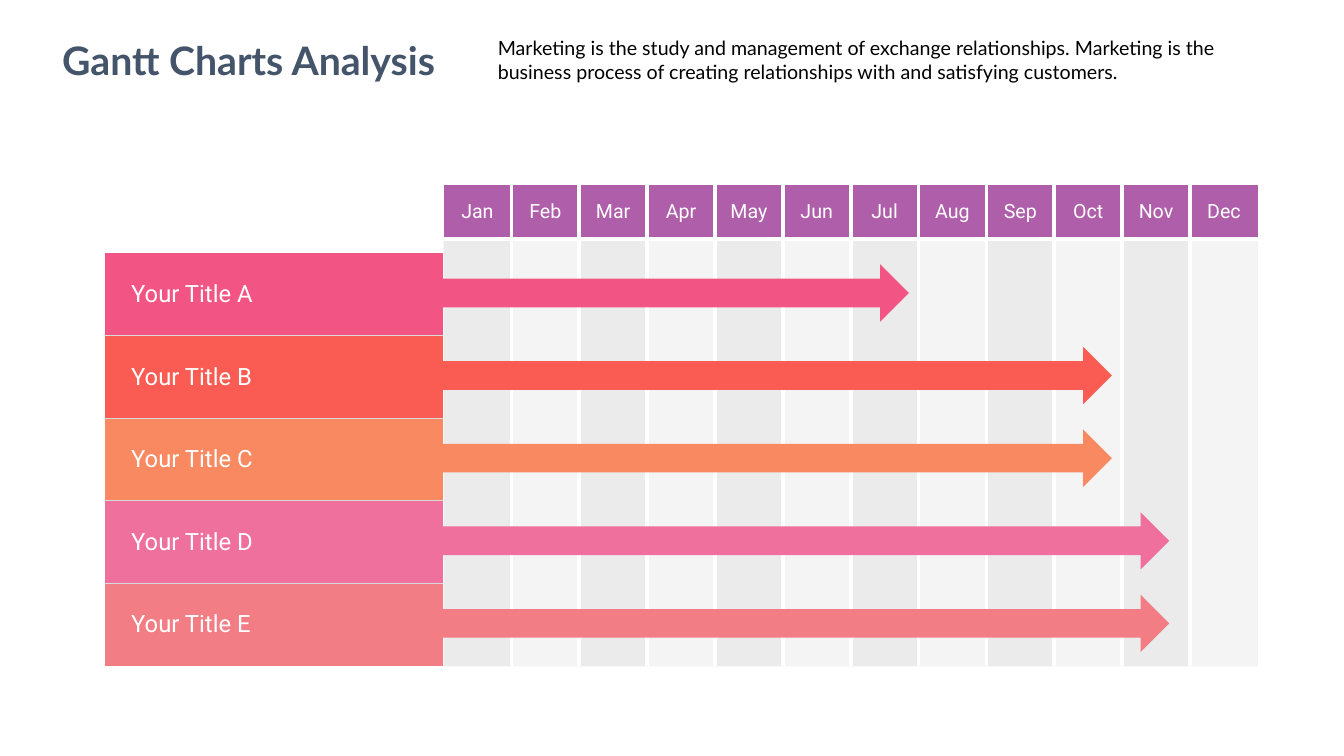
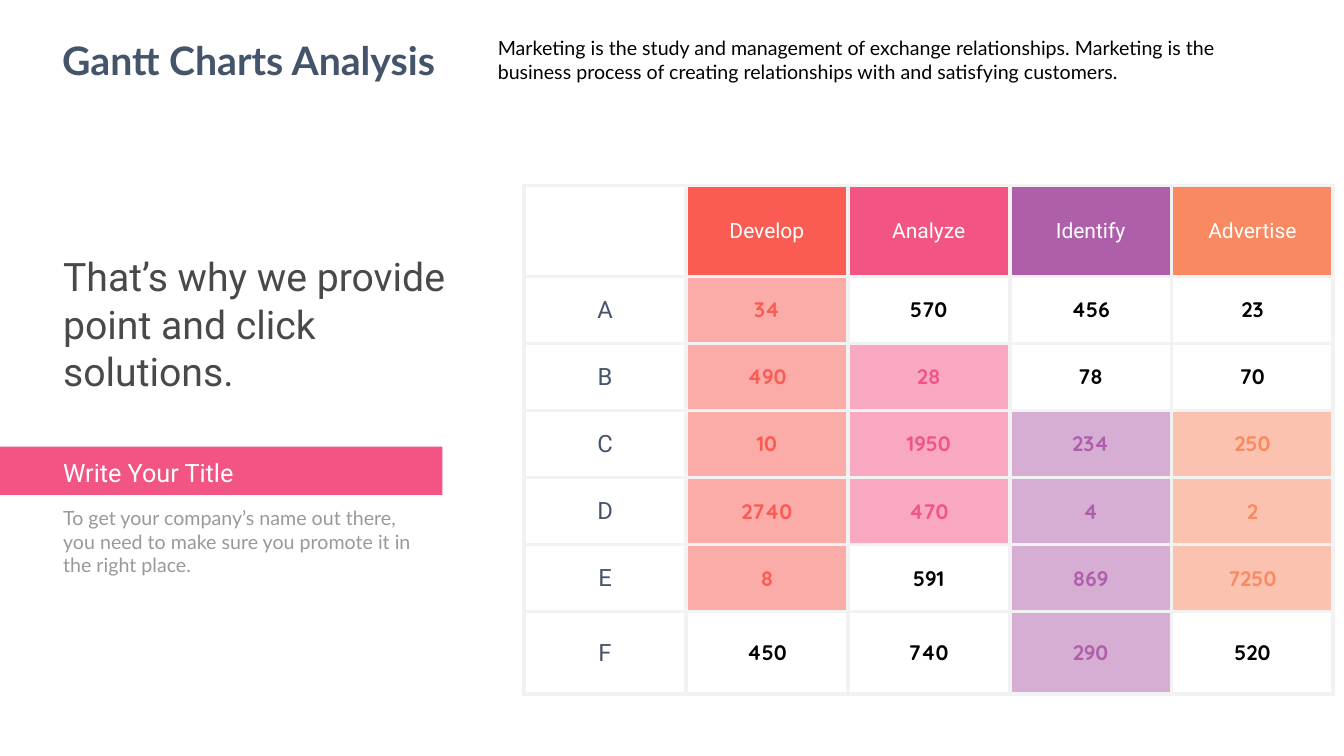
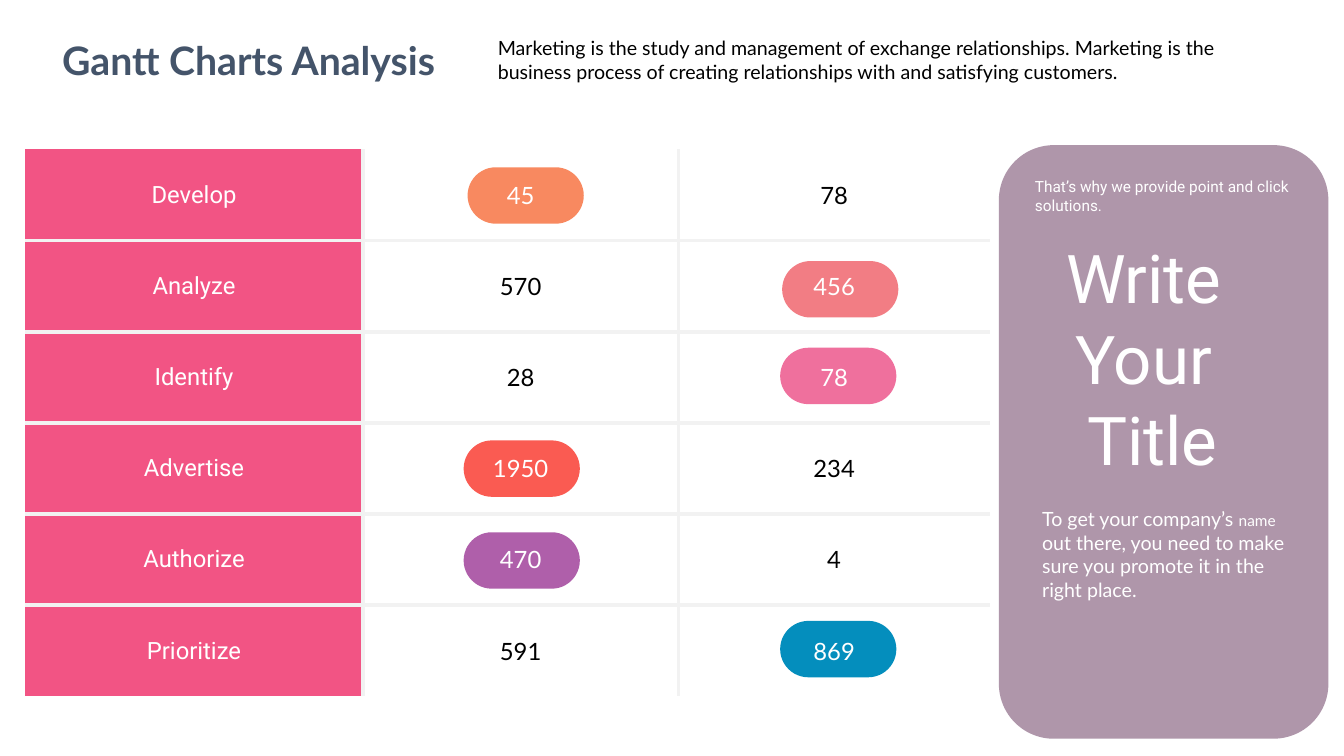
import dataclasses
import pptx
import pptx.dml.color
import pptx.enum.shapes
import pptx.enum.text
import pptx.oxml
import pptx.oxml.ns
import pptx.util

Pt = pptx.util.Pt
CENTER = pptx.enum.text.PP_ALIGN.CENTER
LEFT = pptx.enum.text.PP_ALIGN.LEFT
MIDDLE = pptx.enum.text.MSO_ANCHOR.MIDDLE
SHAPES = pptx.enum.shapes.MSO_SHAPE

WHITE, BLACK, SLATE = "FFFFFF", "000000", "44546A"
PINK, RED, ORANGE, PURPLE = "F25484", "FA5B52", "F88960", "AF5FAA"
ROSE, CORAL, BLUE, MAUVE = "EF709D", "F27D84", "048EBD", "AF96AA"
PALE, SILVER, GRAY, CHARCOAL = "F2F2F2", "D9D9D9", "999999", "494949"
NO_STYLE = "{2D5ABB26-0587-4C30-8999-92F81FD0307C}"

TITLE = "Gantt Charts Analysis"
SUBTITLE = ("Marketing is the study and management of exchange relationships. "
            "Marketing is the business process of creating relationships "
            "with and satisfying customers.")
SLOGAN = "That’s why we provide point and click solutions."
ADVICE = ("To get your company’s ", "name",
          " out there, you need to make sure you promote it in the right place.")

MONTHS = ["Jan", "Feb", "Mar", "Apr", "May", "Jun",
          "Jul", "Aug", "Sep", "Oct", "Nov", "Dec"]
TASKS = [
    ("Your Title A", PINK, 336),
    ("Your Title B", RED, 481),
    ("Your Title C", ORANGE, 481),
    ("Your Title D", ROSE, 522),
    ("Your Title E", CORAL, 522),
]

SCORE_COLUMNS = [
    ("Develop", RED, "ABCDE"),
    ("Analyze", PINK, "BCD"),
    ("Identify", PURPLE, "CDEF"),
    ("Advertise", ORANGE, "CDE"),
]
SCORES = {
    "A": (34, 570, 456, 23),
    "B": (490, 28, 78, 70),
    "C": (10, 1950, 234, 250),
    "D": (2740, 470, 4, 2),
    "E": (8, 591, 869, 7250),
    "F": (450, 740, 290, 520),
}

STAGES = [
    ("Develop", 45, 78),
    ("Analyze", 570, 456),
    ("Identify", 28, 78),
    ("Advertise", 1950, 234),
    ("Authorize", 470, 4),
    ("Prioritize", 591, 869),
]
PILLS = {
    (0, 1): (334, 119.5, ORANGE),
    (1, 2): (558.7, 186.5, CORAL),
    (2, 2): (557.3, 248.4, ROSE),
    (3, 1): (331.2, 314.6, RED),
    (4, 1): (331.2, 380.2, PURPLE),
    (5, 2): (557.3, 443.5, BLUE),
}


@dataclasses.dataclass
class Cell:
    text: str = ""
    fill: str = ""
    alpha: int = 100
    color: str = WHITE
    size: float = 14
    font: str = "Roboto"
    bold: bool = False
    align: object = CENTER


def rgb(value):
    return pptx.dml.color.RGBColor.from_string(value)


def add_run(paragraph, text, size, font, color, bold=False):
    run = paragraph.add_run()
    run.text = text
    run.font.size = Pt(size)
    run.font.name = font
    run.font.bold = bold
    run.font.color.rgb = rgb(color)


def place(shape, left, top, width, height):
    shape.left, shape.top = Pt(left), Pt(top)
    shape.width, shape.height = Pt(width), Pt(height)


def add_text(slide, box, paragraphs, font, color, align=LEFT):
    frame = slide.shapes.add_textbox(*map(Pt, box)).text_frame
    frame.word_wrap = True
    for index, runs in enumerate(paragraphs):
        paragraph = frame.add_paragraph() if index else frame.paragraphs[0]
        paragraph.alignment = align
        for text, size in runs:
            add_run(paragraph, text, size, font, color)


def add_block(slide, kind, box, color):
    shape = slide.shapes.add_shape(kind, *map(Pt, box))
    shape.shadow.inherit = False
    shape.fill.solid()
    shape.fill.fore_color.rgb = rgb(color)
    shape.line.fill.background()
    return shape


def add_header(slide):
    title = slide.shapes.title
    place(title, 28, 22.3, 299, 41)
    frame = title.text_frame
    frame.word_wrap = False
    frame.auto_size = pptx.enum.text.MSO_AUTO_SIZE.NONE
    frame.vertical_anchor = pptx.enum.text.MSO_ANCHOR.TOP
    frame.paragraphs[0].alignment = CENTER
    add_run(frame.paragraphs[0], TITLE, 28, "Lato", SLATE, True)
    add_text(slide, (348.5, 22.3, 563, 41), [[(SUBTITLE, 14)]], "Lato", BLACK)


def set_fill(cell, color, alpha):
    if not color:
        cell.fill.background()
        return
    cell.fill.solid()
    cell.fill.fore_color.rgb = rgb(color)
    if alpha < 100:
        node = cell._tc.tcPr.find(".//" + pptx.oxml.ns.qn("a:srgbClr"))
        node.append(pptx.oxml.parse_xml(
            f'<a:alpha {pptx.oxml.ns.nsdecls("a")} val="{alpha * 1000}"/>'))


def set_borders(cell, sides, color, width):
    for position, side in enumerate(sides):
        cell._tc.tcPr.insert(position, pptx.oxml.parse_xml(
            f'<a:ln{side} {pptx.oxml.ns.nsdecls("a")} w="{Pt(width)}">'
            f'<a:solidFill><a:srgbClr val="{color}"/></a:solidFill></a:ln{side}>'))


def add_grid(slide, left, top, widths, heights, rows, border, inset=3.6,
             outer=False, first_ruled=0):
    shape = slide.shapes.add_table(len(heights), len(widths), Pt(left), Pt(top),
                                   Pt(sum(widths)), Pt(sum(heights)))
    table = shape.table
    table.first_row = table.horz_banding = False
    table._tbl.tblPr.find(pptx.oxml.ns.qn("a:tableStyleId")).text = NO_STYLE
    for column, width in zip(table.columns, widths):
        column.width = Pt(width)
    last_row, last_column = len(heights) - 1, len(widths) - 1
    for r, (height, row) in enumerate(zip(heights, rows)):
        table.rows[r].height = Pt(height)
        for c, content in enumerate(row):
            cell = table.cell(r, c)
            cell.margin_left, cell.margin_right = Pt(inset), Pt(3.6)
            cell.margin_top = cell.margin_bottom = Pt(2.2)
            cell.vertical_anchor = MIDDLE
            if content.text:
                paragraph = cell.text_frame.paragraphs[0]
                paragraph.alignment = content.align
                add_run(paragraph, content.text, content.size, content.font,
                        content.color, content.bold)
            set_fill(cell, content.fill, content.alpha)
            ruled = {"L": outer or c > 0, "R": outer or c < last_column,
                     "T": outer or r > first_ruled,
                     "B": outer or first_ruled <= r < last_row}
            set_borders(cell, [side for side in ruled if ruled[side]], *border)


def build_timeline(slide):
    bands = [(SILVER, 50), (PALE, 80)]
    header = [Cell(month, PURPLE) for month in MONTHS]
    body = [Cell("", *bands[index % 2]) for index in range(len(MONTHS))]
    add_grid(slide, 316.8, 132.5, [48.48] * len(MONTHS), [38.2, 305.3],
             [header, body], (WHITE, 3))

    top, head_height, row_height, arrow_height = 131.8, 49, 59, 41
    for index, (_, color, length) in enumerate(TASKS):
        middle = top + head_height + row_height * (index + 0.5) - 1
        add_block(slide, SHAPES.RIGHT_ARROW,
                  (313.2, middle - arrow_height / 2, length, arrow_height), color)
    labels = [[Cell(name, color, size=17, align=LEFT)] for name, color, _ in TASKS]
    add_grid(slide, 75, top, [241.2], [head_height] + [row_height] * len(TASKS),
             [[Cell(fill=WHITE)]] + labels, (SILVER, 1), inset=18.7, first_ruled=1)


def build_scores(slide):
    add_block(slide, SHAPES.RECTANGLE, (0, 319, 316, 34.5), PINK)
    rows = [[Cell(fill=WHITE)]
            + [Cell(name, color, size=15) for name, color, _ in SCORE_COLUMNS]]
    for letter, values in SCORES.items():
        row = [Cell(letter, size=17, color=SLATE)]
        for value, (_, color, marked) in zip(values, SCORE_COLUMNS):
            hit = letter in marked
            row.append(Cell(str(value), color if hit else "", 50,
                            color if hit else BLACK, 15, "Quicksand", True))
        rows.append(row)
    add_grid(slide, 374.4, 132.5, [115.6] * 5, [65] + [47.9] * 5 + [59],
             rows, (PALE, 3), outer=True)

    add_text(slide, (38, 358, 278, 58), [[("".join(ADVICE), 14)]], "Lato", GRAY)
    add_text(slide, (38, 323.3, 278, 29), [[("Write Your Title", 18)]], "Roboto", WHITE)
    add_text(slide, (38, 177, 298, 109), [[(SLOGAN, 28)]], "Roboto", CHARCOAL)


def build_stages(slide):
    add_block(slide, SHAPES.ROUNDED_RECTANGLE, (713.5, 103.7, 235.4, 424), MAUVE)
    for left, top, color in PILLS.values():
        pill = add_block(slide, SHAPES.ROUNDED_RECTANGLE, (left, top, 83, 40.3), color)
        pill.adjustments[0] = 0.5
    rows = []
    for r, (name, *values) in enumerate(STAGES):
        rows.append([Cell(name, PINK, size=17)] + [
            Cell(str(value), color=WHITE if (r, c) in PILLS else BLACK,
                 size=17, font="Lato")
            for c, value in enumerate(values, 1)])
    add_grid(slide, 18, 106.6, [241.2, 225.4, 222.5], [65.16] * len(STAGES),
             rows, (PALE, 3))

    add_text(slide, (737.3, 358.6, 190, 75), [list(zip(ADVICE, (14, 11, 14)))],
             "Lato", WHITE)
    add_text(slide, (733.7, 165.6, 178.6, 181.4),
             [[(word, 48)] for word in ("Write ", "Your ", "Title")],
             "Roboto", WHITE, CENTER)
    add_text(slide, (732.2, 123, 211.7, 34), [[(SLOGAN, 11)]], "Roboto", WHITE)


def main():
    presentation = pptx.Presentation()
    presentation.slide_width, presentation.slide_height = Pt(960), Pt(540)
    for build in (build_timeline, build_scores, build_stages):
        slide = presentation.slides.add_slide(presentation.slide_layouts[5])
        add_header(slide)
        build(slide)
    presentation.save("out.pptx")


if __name__ == "__main__":
    main()
